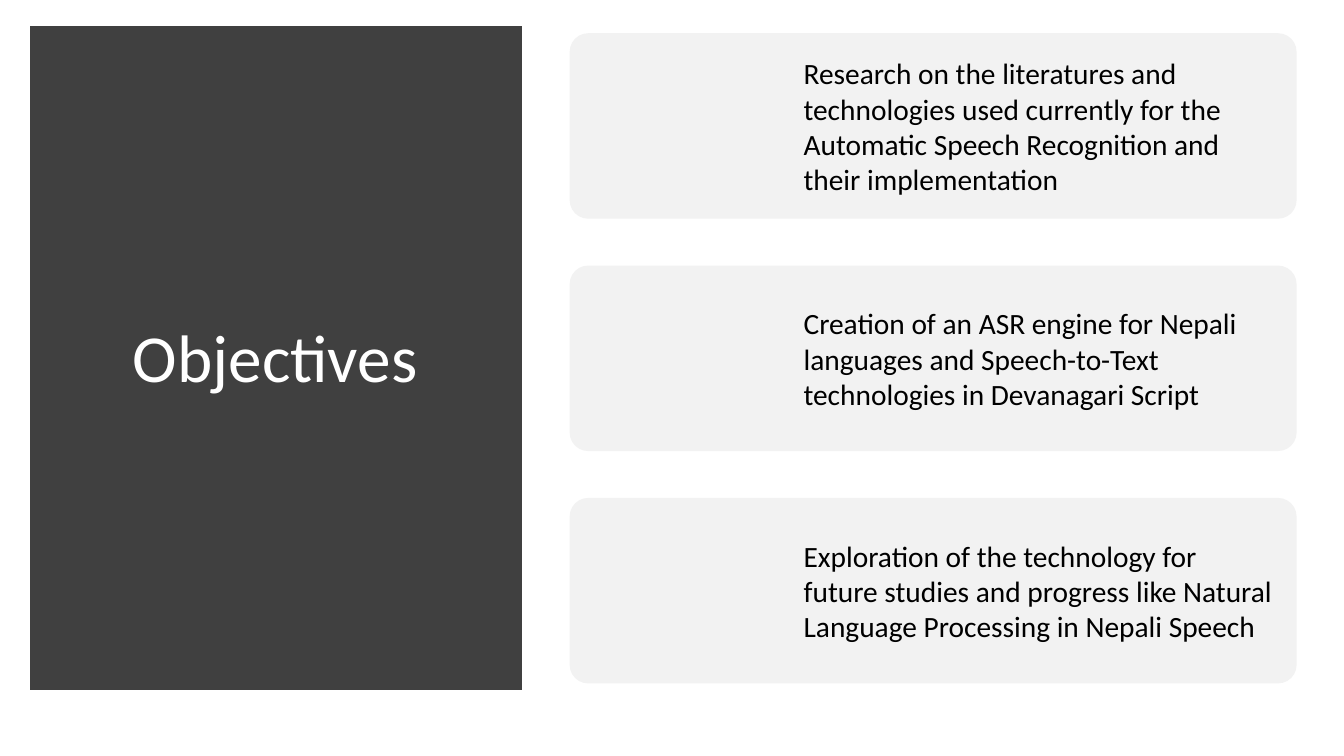
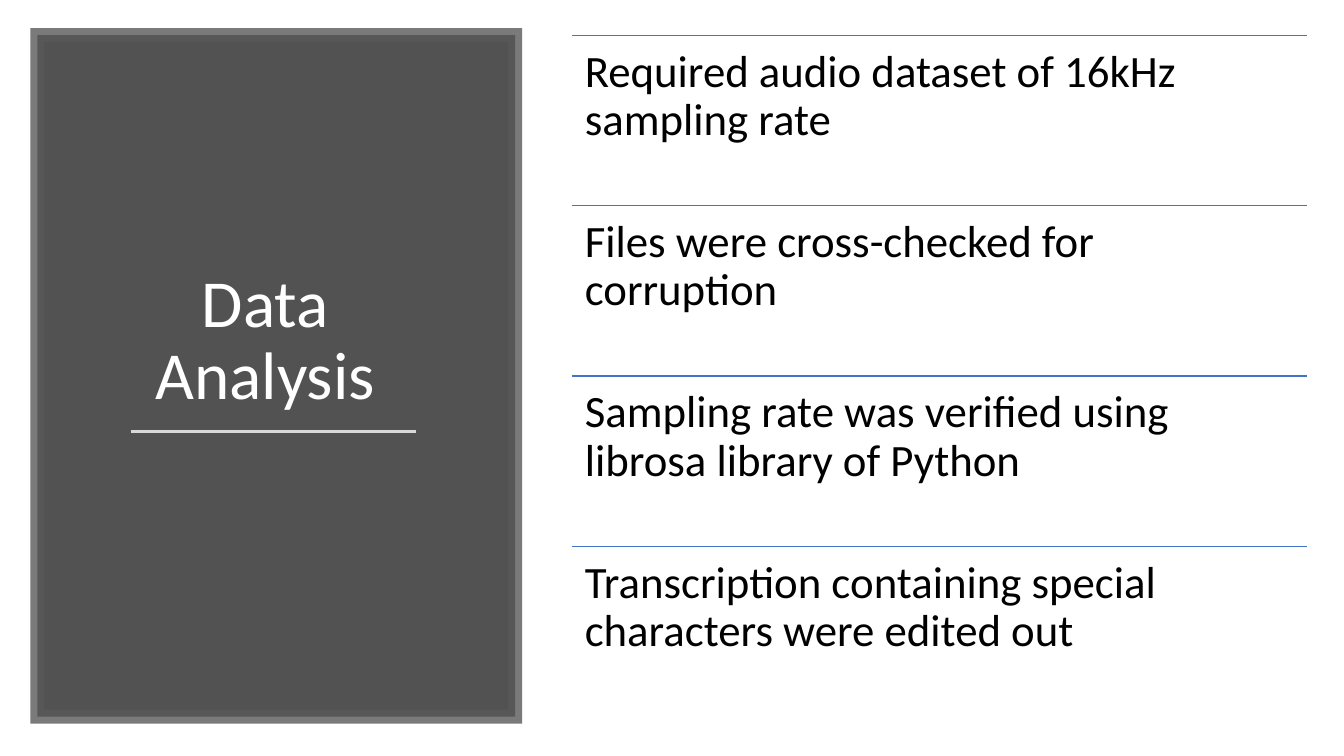
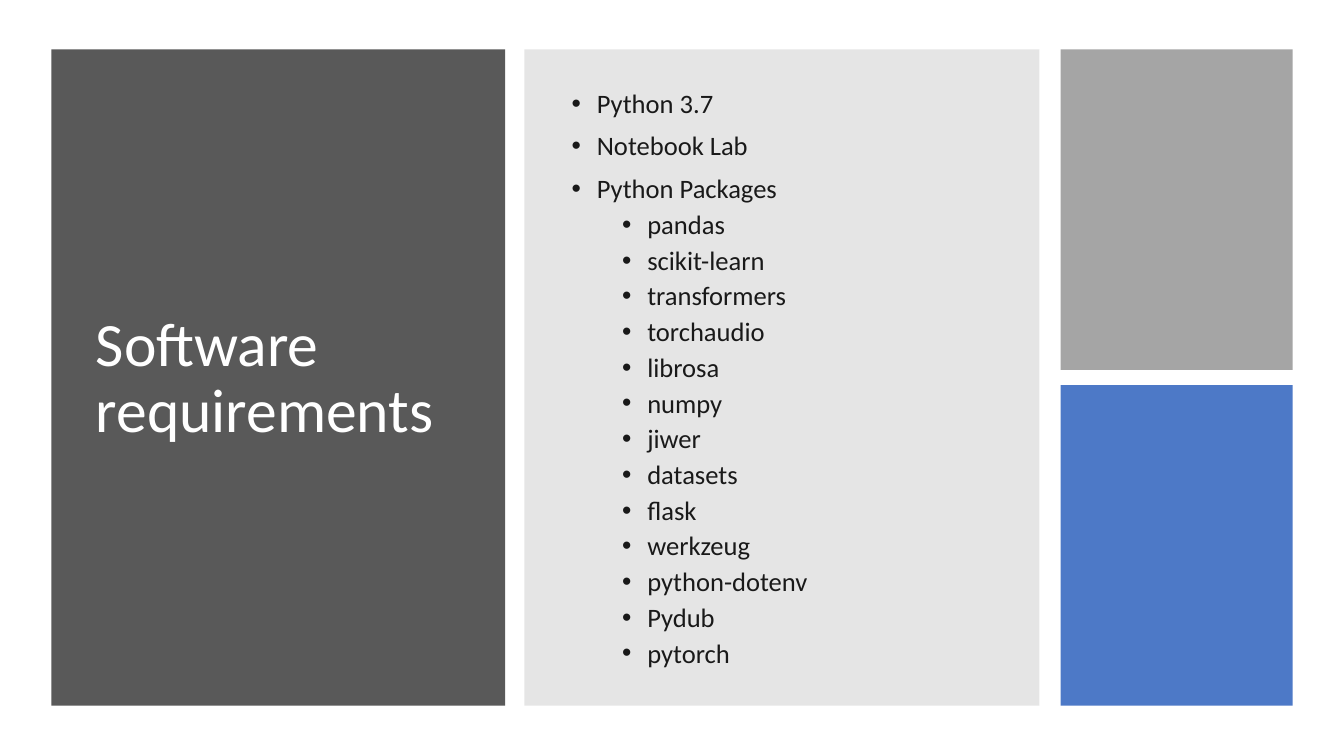
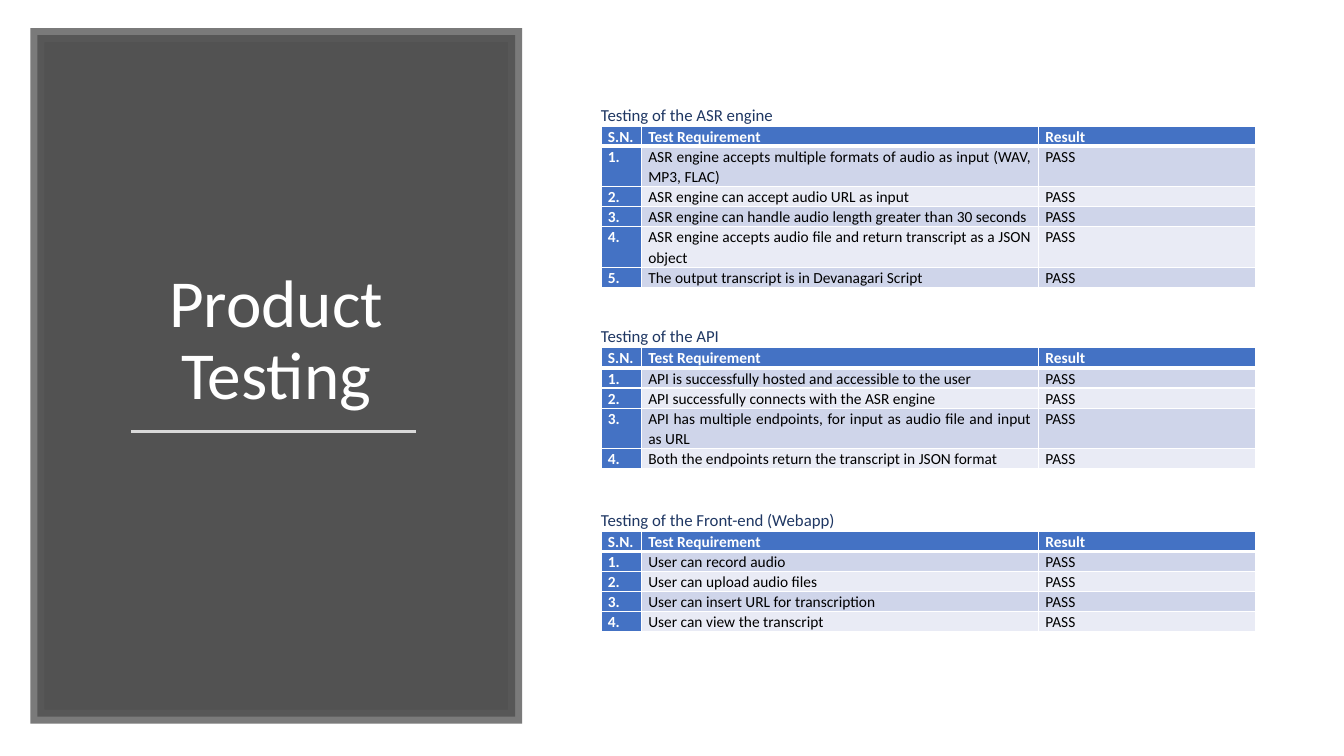
from dataclasses import dataclass

from lxml import etree
from pptx import Presentation
from pptx.dml.color import RGBColor
from pptx.enum.shapes import MSO_CONNECTOR, MSO_SHAPE
from pptx.enum.text import MSO_ANCHOR, MSO_AUTO_SIZE, PP_ALIGN
from pptx.oxml.ns import qn
from pptx.util import Inches, Pt

RECT, ROUND = MSO_SHAPE.RECTANGLE, MSO_SHAPE.ROUNDED_RECTANGLE
STRAIGHT = MSO_CONNECTOR.STRAIGHT
LEFT, CENTER, JUSTIFY = PP_ALIGN.LEFT, PP_ALIGN.CENTER, PP_ALIGN.JUSTIFY
TOP, MIDDLE, BOTTOM = MSO_ANCHOR.TOP, MSO_ANCHOR.MIDDLE, MSO_ANCHOR.BOTTOM
NO_FIT = MSO_AUTO_SIZE.NONE
TITLE_AND_BODY, TITLE_ONLY = 1, 5


@dataclass(frozen=True)
class Theme:
    """Fonts, colours and type sizes of the deck."""
    font: str = "Calibri"
    white: str = "FFFFFF"
    black: str = "000000"
    panel: str = "404040"
    frame: str = "595959"
    rule: str = "D9D9D9"
    card: str = "F2F2F2"
    mid: str = "808080"
    gray: str = "A5A5A5"
    blue: str = "4472C4"
    navy: str = "1F3763"
    bands: tuple = ("CFD5EA", "E9EBF5")
    title: int = 48
    small_title: int = 44
    statement: int = 32
    objective: int = 21
    bullet: int = 19
    caption: int = 12
    cell: int = 11


class Deck:
    """Holds the theme, the presentation and the current slide."""

    def __init__(self):
        """Start an empty widescreen deck."""
        self.t = Theme()
        self.prs = Presentation()
        self.prs.slide_width, self.prs.slide_height = Inches(13.33), Inches(7.5)
        self.s = None

    def slide(self, layout=TITLE_ONLY):
        """Add a slide and make it current."""
        self.s = self.prs.slides.add_slide(self.prs.slide_layouts[layout])

    def style(self, p, size, color, align=LEFT, spacing=1.0, bold=False):
        """Format a paragraph and its runs."""
        p.alignment, p.line_spacing = align, spacing
        for r in p.runs:
            r.font.name, r.font.size, r.font.bold = self.t.font, Pt(size), bold
            r.font.color.rgb = RGBColor.from_string(color)

    def place(self, sp, x, y, w, h):
        """Move and size a placeholder."""
        sp.left, sp.top, sp.width, sp.height = map(Inches, (x, y, w, h))

    def box(self, x, y, w, h, fill, alpha=100, shape=RECT,
            line=None, line_alpha=100):
        """Draw a filled shape with an optional thick outline."""
        sp = self.s.shapes.add_shape(shape, *map(Inches, (x, y, w, h)))
        sp.shadow.inherit = False
        sp.fill.solid()
        sp.fill.fore_color.rgb = RGBColor.from_string(fill)
        if shape == ROUND:
            sp.adjustments[0] = 0.1
        if line:
            sp.line.color.rgb = RGBColor.from_string(line)
            sp.line.width = Pt(10)
            etree.SubElement(sp.line._get_or_add_ln(), qn("a:miter"), lim="800000")
        else:
            sp.line.fill.background()
        colors = sp._element.spPr.iter(qn("a:srgbClr"))
        for color, value in zip(colors, (alpha, line_alpha)):
            if value < 100:
                etree.SubElement(color, qn("a:alpha"), val=str(value * 1000))

    def rule(self, x, y, w, color, width):
        """Draw a horizontal line."""
        cn = self.s.shapes.add_connector(
            STRAIGHT, *map(Inches, (x, y, x + w, y)))
        cn.line.color.rgb = RGBColor.from_string(color)
        cn.line.width = Pt(width)
        etree.SubElement(cn._element.spPr, qn("a:effectLst"))

    def title(self, text, x, y, w, h, size, align=CENTER, anchor=MIDDLE):
        """Fill the title placeholder."""
        sp = self.s.shapes.title
        self.place(sp, x, y, w, h)
        tf = sp.text_frame
        tf.text = text
        tf.word_wrap, tf.auto_size, tf.vertical_anchor = True, NO_FIT, anchor
        self.style(tf.paragraphs[0], size, self.t.white, align, 0.9)

    def framed_title(self, text, w=4):
        """Draw the framed side panel with its underlined title."""
        self.box(0.37, 0.35, 4.74, 6.76, self.t.panel, 90,
                 line=self.t.frame, line_alpha=80)
        self.title(text, 0.74, 1, w, 3.16, self.t.title, anchor=BOTTOM)
        self.rule(1.3, 4.28, 2.83, self.t.rule, 1.75)

    def text(self, text, x, y, w, h, size, color, inset=0, anchor=TOP, spacing=1.0):
        """Add a wrapped text box."""
        tf = self.s.shapes.add_textbox(*map(Inches, (x, y, w, h))).text_frame
        tf.text = text
        tf.word_wrap, tf.vertical_anchor = True, anchor
        tf.margin_left = tf.margin_right = Inches(inset)
        tf.margin_top = tf.margin_bottom = Inches(inset)
        self.style(tf.paragraphs[0], size, color, spacing=spacing)

    def bullets(self, items, x, y, w, h):
        """Fill the body placeholder with (level, text) items."""
        sp = self.s.placeholders[1]
        self.place(sp, x, y, w, h)
        tf = sp.text_frame
        tf.word_wrap, tf.auto_size, tf.vertical_anchor = True, NO_FIT, MIDDLE
        for i, (level, text) in enumerate(items):
            p = tf.add_paragraph() if i else tf.paragraphs[0]
            p.text, p.level = text, level
            self.style(p, self.t.bullet, self.t.black, spacing=0.9)
            p.space_before = Pt(5 if level else 10)
            pPr = p._p.get_or_add_pPr()
            pPr.set("marL", str(Inches(0.25 + 0.5 * level)))
            pPr.set("indent", str(Inches(-0.25)))
            etree.SubElement(pPr, qn("a:buFont"), typeface="Arial")
            etree.SubElement(pPr, qn("a:buChar"), char="•")

    def cell(self, cell, text, fill, color, bold, bottom):
        """Fill one table cell and give it white borders."""
        cell.text = text
        cell.margin_left = cell.margin_right = Inches(0.07)
        cell.margin_top = cell.margin_bottom = 0
        tcPr = cell._tc.get_or_add_tcPr()
        for side, width in zip("LRTB", (1, 1, 1, bottom)):
            ln = etree.SubElement(tcPr, qn("a:ln" + side), w=str(Pt(width)))
            paint = etree.SubElement(ln, qn("a:solidFill"))
            etree.SubElement(paint, qn("a:srgbClr"), val=self.t.white)
        cell.fill.solid()
        cell.fill.fore_color.rgb = RGBColor.from_string(fill)
        self.style(cell.text_frame.paragraphs[0], self.t.cell, color,
                   JUSTIFY, 1.07, bold)

    def test_table(self, caption, tests, y):
        """Add a captioned table of passed tests."""
        t, x, widths = self.t, 5.96, (0.4, 3.94, 2.15)
        rows = [("S.N.", "Test Requirement", "Result")]
        rows += [(f"{n}.", test, "PASS") for n, test in enumerate(tests, 1)]
        heights = [0.4 if len(row[1]) > 60 else 0.2 for row in rows]
        self.text(caption, x, y - 0.23, 3, 0.23, t.caption, t.navy, anchor=MIDDLE)
        table = self.s.shapes.add_table(
            len(rows), len(widths),
            *map(Inches, (x, y, sum(widths), sum(heights)))).table
        for col, width in zip(table.columns, widths):
            col.width = Inches(width)
        for i, row in enumerate(rows):
            table.rows[i].height = Inches(heights[i])
            for j, text in enumerate(row):
                head = i == 0 or j == 0
                self.cell(table.cell(i, j), text,
                          t.blue if head else t.bands[(i - 1) % 2],
                          t.white if head else t.black, head,
                          1 if i else 3)


OBJECTIVES = (
    "Research on the literatures and technologies used currently for the "
    "Automatic Speech Recognition and their implementation",
    "Creation of an ASR engine for Nepali languages and Speech-to-Text "
    "technologies in Devanagari Script",
    "Exploration of the technology for future studies and progress like "
    "Natural Language Processing in Nepali Speech",
)
ANALYSIS = (
    "Required audio dataset of 16kHz sampling rate",
    "Files were cross-checked for corruption",
    "Sampling rate was verified using librosa library of Python",
    "Transcription containing special characters were edited out",
)
TOOLS = ("Python 3.7", "Notebook Lab", "Python Packages")
PACKAGES = ("pandas", "scikit-learn", "transformers", "torchaudio", "librosa",
            "numpy", "jiwer", "datasets", "flask", "werkzeug",
            "python-dotenv", "Pydub", "pytorch")
TESTS = (
    ("Testing of the ASR engine", 1.25, (
        "ASR engine accepts multiple formats of audio as input (WAV, MP3, FLAC)",
        "ASR engine can accept audio URL as input",
        "ASR engine can handle audio length greater than 30 seconds",
        "ASR engine accepts audio file and return transcript as a JSON object",
        "The output transcript is in Devanagari Script")),
    ("Testing of the API", 3.45, (
        "API is successfully hosted and accessible to the user",
        "API successfully connects with the ASR engine",
        "API has multiple endpoints, for input as audio file and input as URL",
        "Both the endpoints return the transcript in JSON format")),
    ("Testing of the Front-end (Webapp)", 5.27, (
        "User can record audio",
        "User can upload audio files",
        "User can insert URL for transcription",
        "User can view the transcript")),
)


def objectives(d):
    """Build the objectives slide."""
    t = d.t
    d.slide()
    d.box(0.37, 0.33, 4.74, 6.45, t.panel, line=t.panel)
    d.title("Objectives", 0.65, 0.7, 4.16, 5.75, t.title)
    for i, text in enumerate(OBJECTIVES):
        y = 0.33 + 2.305 * i
        d.box(5.65, y, 7.21, 1.84, t.card, shape=ROUND)
        d.text(text, 7.78, y, 5.08, 1.84, t.objective, t.black, 0.19, MIDDLE)


def data_analysis(d):
    """Build the data analysis slide."""
    t = d.t
    d.slide()
    d.framed_title("Data Analysis", 3.78)
    for i, text in enumerate(ANALYSIS):
        y = 0.35 + 1.69 * i
        d.rule(5.67, y, 7.29, t.blue, 1)
        d.text(text, 5.67, y, 7.29, 1.69, t.statement, t.black, 0.13, spacing=0.9)


def software(d):
    """Build the software requirements slide."""
    t = d.t
    d.slide(TITLE_AND_BODY)
    d.box(0.51, 0.49, 4.5, 6.51, t.frame)
    d.title("Software requirements", 0.85, 0.83, 3.84, 5.87, t.small_title, LEFT)
    d.box(5.2, 0.49, 5.11, 6.51, t.mid, 20)
    items = [(0, tool) for tool in TOOLS] + [(1, name) for name in PACKAGES]
    d.bullets(items, 5.57, 0.83, 4.42, 5.87)
    for y, fill, alpha in ((0.49, t.gray, 100), (3.82, t.blue, 95)):
        d.box(10.52, y, 2.3, 3.18, fill, alpha)


def product_testing(d):
    """Build the product testing slide."""
    d.slide()
    d.framed_title("Product Testing")
    for caption, y, tests in TESTS:
        d.test_table(caption, tests, y)


def main():
    """Build and save the deck."""
    d = Deck()
    for build in (objectives, data_analysis, software, product_testing):
        build(d)
    for s in d.prs.slides:
        tree = s.shapes._spTree
        for sp in reversed([p._element for p in s.placeholders]):
            if s.shapes[0]._element is sp or sp in tree[2:4]:
                first_shape = next(e for e in tree[2:] if e.tag == qn("p:sp")
                                   and not e.findall(".//" + qn("p:ph")))
                if sp is s.shapes.title._element:
                    first_shape.addnext(sp)
    d.prs.save("out.pptx")


if __name__ == "__main__":
    main()
